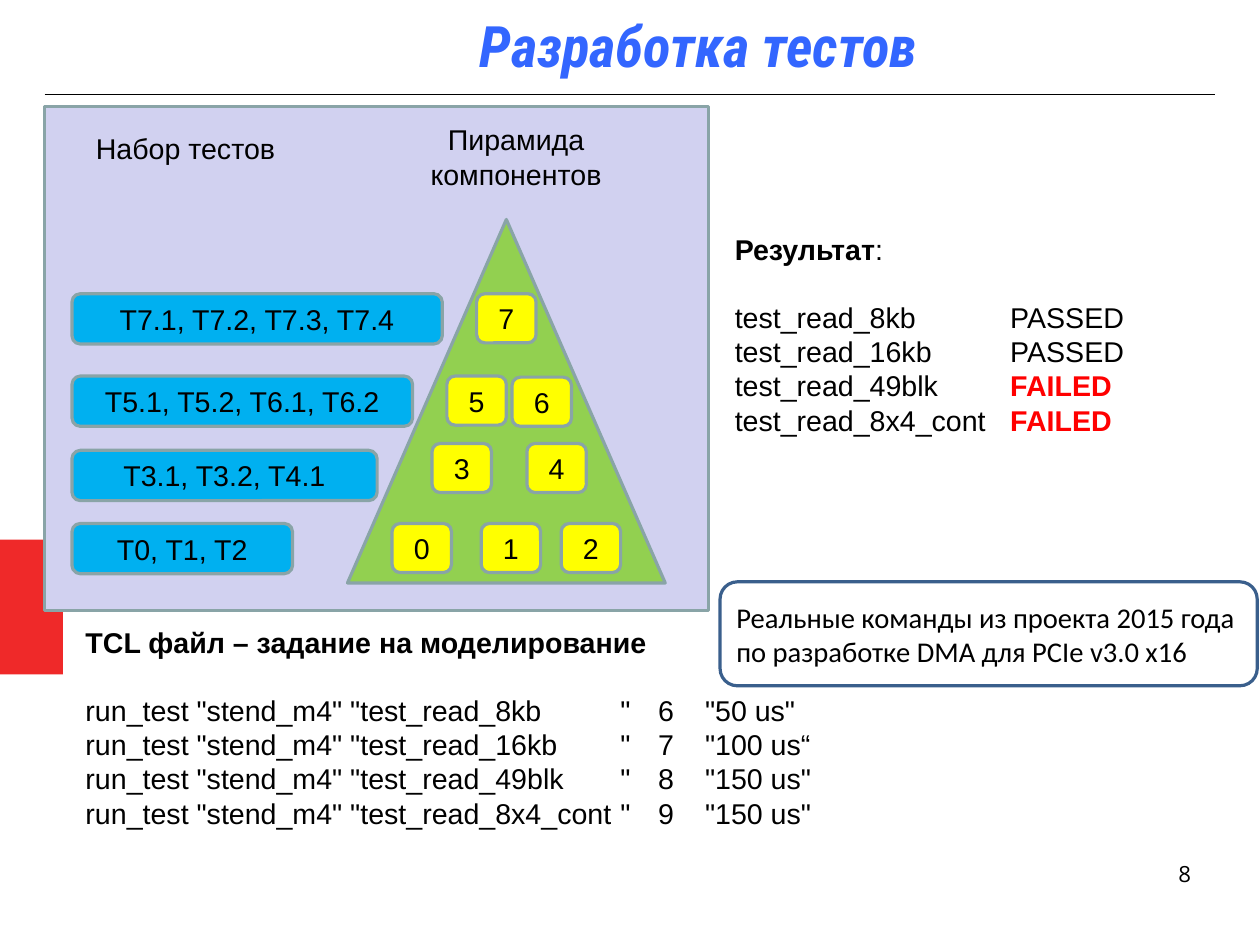
import pptx
import pptx.util
import pptx.dml.color
import pptx.enum.shapes
import pptx.enum.text
import lxml.etree

Inches, Pt = pptx.util.Inches, pptx.util.Pt
KIND = pptx.enum.shapes.MSO_SHAPE
ALIGN = pptx.enum.text.PP_ALIGN
MID = pptx.enum.text.MSO_ANCHOR.MIDDLE

BLACK, RED, GREY = "000000", "FF0000", "89A4A7"
TITLE = "Разработка тестов"
HEADS = [("Набор тестов", 0.74, 1.1, 2.17, 0.45, ALIGN.LEFT),
         ("Пирамида\nкомпонентов", 3.52, 1.02, 1.99, 0.78, ALIGN.CENTER)]
# Tests, top and width of their bar, components as (number, left, top)
ROWS = [("T7.1, T7.2, T7.3, T7.4", 2.57, 3.24, [("7", 4.17, 2.57)]),
        ("T5.1, T5.2, T6.1, T6.2", 3.29, 2.98, [("5", 3.91, 3.29), ("6", 4.48, 3.3)]),
        ("T3.1, T3.2, T4.1", 3.94, 2.67, [("3", 3.78, 3.88), ("4", 4.61, 3.88)]),
        ("T0, T1, T2", 4.58, 1.93,
         [("0", 3.43, 4.58), ("1", 4.21, 4.58), ("2", 4.91, 4.58)])]
RESULTS = [("test_read_8kb", "PASSED"), ("test_read_16kb", "PASSED"),
           ("test_read_49blk", "FAILED"), ("test_read_8x4_cont", "FAILED")]
TASK = "TCL файл – задание на моделирование"
RUNS = [("8kb", 6, '"50 us"'), ("16kb", 7, '"100 us“'),
        ("49blk", 8, '"150 us"'), ("8x4_cont", 9, '"150 us"')]
NOTE = "Реальные команды из проекта 2015 года\nпо разработке DMA для PCIe v3.0 x16"


def color(code):
    """Turn a hex string into a colour."""
    return pptx.dml.color.RGBColor.from_string(code)


def style(part, size=18, font="Arial", code=BLACK, bold=False):
    """Format every run of a paragraph."""
    for run in part.runs:
        run.font.size, run.font.name = Pt(size), font
        run.font.bold, run.font.color.rgb = bold, color(code)


def write(shape, text, align=ALIGN.LEFT, **look):
    """Put styled text into a shape."""
    frame = shape.text_frame
    frame.word_wrap = True
    frame.text = text
    for part in frame.paragraphs:
        part.alignment = align
        style(part, **look)


def label(text, x, y, w, h, align=ALIGN.LEFT, **look):
    """Add a text box and return it."""
    box = slide.shapes.add_textbox(Inches(x), Inches(y), Inches(w), Inches(h))
    write(box, text, align, **look)
    return box


def block(kind, x, y, w, h, fill, line=None):
    """Add a flat preset shape."""
    shape = slide.shapes.add_shape(kind, Inches(x), Inches(y), Inches(w), Inches(h))
    shape.shadow.inherit = False
    shape.fill.solid()
    shape.fill.fore_color.rgb = color(fill)
    if line:
        shape.line.color.rgb, shape.line.width = color(line), Pt(2)
    else:
        shape.line.fill.background()
    return shape


def badge(text, x, y, w, h, fill):
    """Add a rounded box with centred text."""
    shape = block(KIND.ROUNDED_RECTANGLE, x, y, w, h, fill, GREY)
    shape.text_frame.vertical_anchor = MID
    write(shape, text, ALIGN.CENTER)


def stops(part, places):
    """Set left tab stops, in inches, on a paragraph."""
    props = part._p.get_or_add_pPr()
    tabs = lxml.etree.SubElement(props, pptx.oxml.ns.qn("a:tabLst"))
    for place in places:
        lxml.etree.SubElement(tabs, pptx.oxml.ns.qn("a:tab"),
                              pos=str(Inches(place)), algn="l")


def listing(head, lines, x, y, w, h, places):
    """Add a heading with tabbed lines below and return the paragraphs."""
    box = label("\n".join([head] + lines), x, y, w, h)
    first, *rest = box.text_frame.paragraphs
    style(first, bold=True)
    first.space_after = Pt(21)
    for part in rest:
        stops(part, places)
    return first, rest


deck = pptx.Presentation()
deck.slide_width, deck.slide_height = pptx.util.Cm(28), pptx.util.Cm(21)
slide = deck.slides.add_slide(deck.slide_layouts[6])

block(KIND.RECTANGLE, 0, 4.72, 0.55, 1.18, "EF2929")
title = label(TITLE, 1.43, 0, 9.37, 0.78, ALIGN.CENTER, size=36,
              font="Roboto Condensed", code="3366FF", bold=True)
title.text_frame.vertical_anchor = MID
title.text_frame.paragraphs[0].runs[0].font.italic = True

rule = slide.shapes.add_connector(pptx.enum.shapes.MSO_CONNECTOR.STRAIGHT,
                                  Inches(0.39), Inches(0.83), Inches(10.63), Inches(0.83))
rule.line.color.rgb, rule.line.width = color(BLACK), Pt(0.74)
lxml.etree.SubElement(rule._element.spPr, pptx.oxml.ns.qn("a:effectLst"))

first, rest = listing("Результат", ["\t".join(row) for row in RESULTS],
                      6.33, 1.98, 4.32, 2.11, [2.41])
colon = first.add_run()
colon.text = ":"
style(first)
first.runs[0].font.bold = True
for part, (name, state) in zip(rest, RESULTS):
    if state == "FAILED":
        part.text = name + "\t"
        part.add_run().text = state
        style(part)
        mark = part.runs[-1].font
        mark.bold, mark.color.rgb = True, color(RED)

listing(TASK, [f'run_test "stend_m4" "test_read_{name}\t"\t{code}\t{time}'
               for name, code, time in RUNS],
        0.65, 5.42, 9.73, 1.84, [4.68, 5.01, 5.42])

block(KIND.RECTANGLE, 0.39, 0.93, 5.81, 4.41, "D1D1F0", GREY)
for head in HEADS:
    label(*head)
block(KIND.ISOSCELES_TRIANGLE, 3.04, 1.92, 2.78, 3.18, "92D050", GREY)
for tests, top, width, parts in ROWS:
    badge(tests, 0.63, top, width, 0.44, "00B0F0")
    for number, left, level in parts:
        badge(number, left, level, 0.52, 0.43, "FFFF00")

note = block(KIND.ROUNDED_RECTANGLE, 6.3, 5.09, 4.7, 0.91, "FFFFFF", "3A5F8C")
note.text_frame.vertical_anchor = MID
write(note, NOTE, font="Calibri")

page = label("8", 7.9, 7.53, 2.52, 0.57, ALIGN.RIGHT, size=14, font="Open Sans")
frame = page.text_frame
frame.margin_left = frame.margin_right = frame.margin_top = frame.margin_bottom = 0

deck.save("out.pptx")
